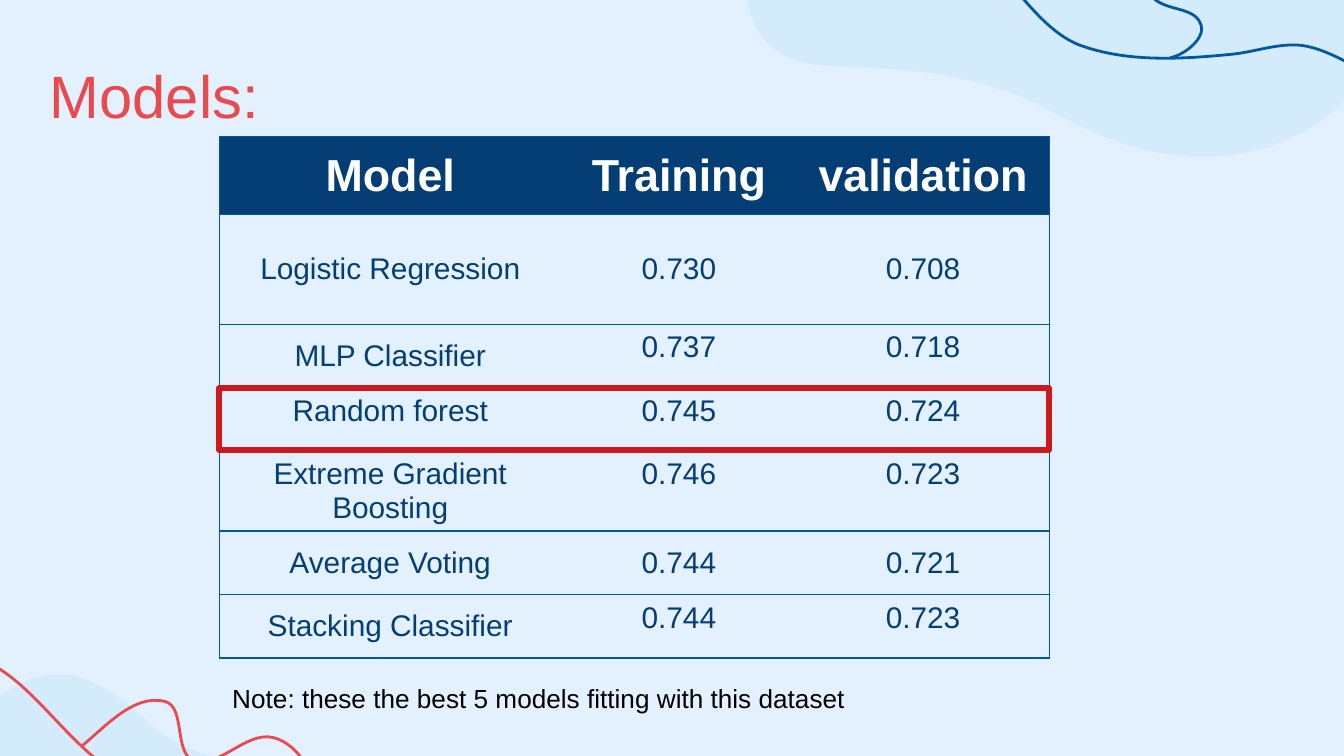
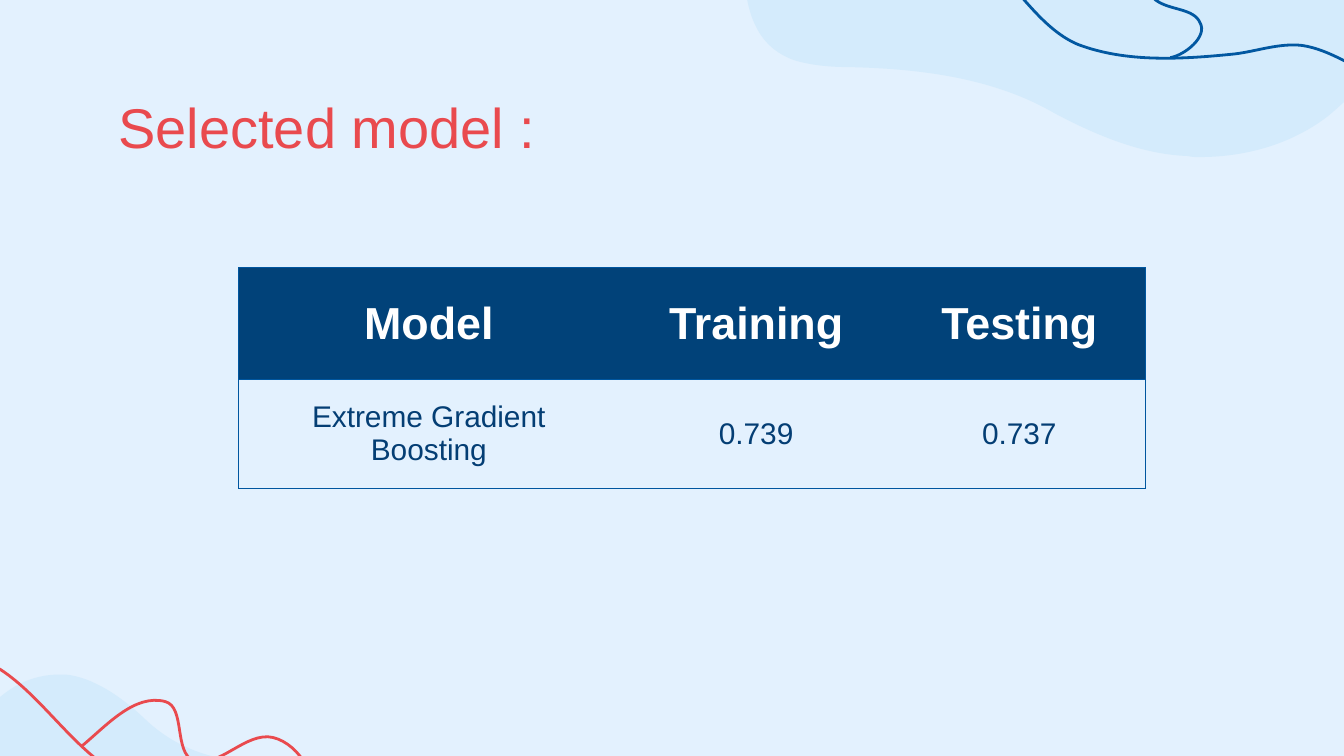
"""Build two slides that compare models and name the selected one."""
import math

from lxml import etree
from pptx import Presentation
from pptx import util as u
from pptx.dml.color import RGBColor
from pptx.enum import shapes, text
from pptx.oxml.ns import qn

FONT = "Arial"
SKY, MIST = "E3F1FE", "D4EBFC"
CORAL, BLUE, NAVY, DEEP = "E94A4E", "0258A1", "043E74", "014279"
EDGE, RED, WHITE, BLACK = "00569F", "CD191D", "FFFFFF", "000000"
PLAIN = "{2D5ABB26-0587-4C30-8999-92F81FD0307C}"
ANCHOR = {"m": text.MSO_ANCHOR.MIDDLE, "t": text.MSO_ANCHOR.TOP}

BLOBS = [
    (180, [
        [(6.2, 16.15)],
        [(6.07, 16.05), (5.92, 15.93), (5.84, 15.8)],
        [(-0.64, 15.8)], [(-0.64, 14.02)],
        [(-0.64, 14), (-0.64, 13.97), (-0.64, 13.94)],
        [(-0.53, 13.82), (-0.41, 13.61), (-0.3, 13.49)],
        [(0.1, 12.98), (0.61, 12.75), (1.12, 12.75)],
        [(1.14, 12.75), (1.19, 12.75), (1.24, 12.75)],
        [(1.75, 12.8), (2.29, 13.16), (2.74, 13.59)],
        [(3.43, 14.25), (4.24, 14.4), (5.03, 14.43)],
        [(5.23, 14.45), (5.44, 14.45), (5.64, 14.58)],
        [(6.07, 14.83), (6.15, 15.39), (6.22, 16.05)],
        [(6.2, 16.05), (6.17, 16.05), (6.15, 16.05)],
        [(6.12, 16.05), (6.1, 16.05), (6.1, 16.05)]]),
    (0, [
        [(14.1, -0.46)],
        [(14.3, -0.33), (14.53, -0.2), (14.68, -0.08)],
        [(25.6, -0.1)], [(25.6, 1.7)],
        [(25.6, 1.73), (25.6, 1.75), (25.6, 1.78)],
        [(25.43, 1.88), (25.22, 2.11), (25.04, 2.24)],
        [(24.36, 2.74), (23.52, 2.97), (22.66, 2.97)],
        [(22.58, 2.97), (22.53, 2.97), (22.45, 2.95)],
        [(21.56, 2.92), (20.68, 2.54), (19.91, 2.13)],
        [(18.77, 1.47), (17.37, 1.3), (16.08, 1.27)],
        [(15.72, 1.27), (15.34, 1.24), (15.01, 1.14)],
        [(14.33, 0.89), (14.15, 0.33), (14.07, -0.33)],
        [(14.1, -0.33), (14.12, -0.33), (14.15, -0.33)],
        [(14.17, -0.33), (14.22, -0.33), (14.27, -0.33)]]),
]
WAVES = [
    (CORAL, 327.7, [
        [(-2.95, 12.42)],
        [(-2.21, 11.96), (-1.07, 12.01), (-0.08, 12.6)],
        [(0.74, 13.08), (1.37, 14.15), (2.21, 14.61)],
        [(3.1, 15.11), (4.01, 15.24), (4.9, 15.32)]]),
    (CORAL, 342.2, [
        [(1.55, 14.1)],
        [(2.01, 13.72), (2.54, 13.11), (3.12, 13.26)],
        [(3.51, 13.36), (3.28, 14.22), (3.66, 14.38)],
        [(4.14, 14.53), (4.65, 13.82), (5.16, 13.94)],
        [(5.69, 14.07), (6.05, 14.78), (5.97, 15.32)]]),
    (BLUE, 0, [
        [(18.9, -0.51)],
        [(19.35, -0.05), (19.76, 0.58), (20.37, 0.84)],
        [(21.29, 1.19), (22.35, 1.12), (23.34, 1.02)],
        [(23.75, 0.97), (24.18, 0.81), (24.61, 0.86)],
        [(25.15, 0.94), (25.6, 1.3), (26.11, 1.47)]]),
    (BLUE, 0, [
        [(22.12, 1.09)],
        [(22.4, 1.04), (22.83, 0.69), (22.68, 0.43)],
        [(22.56, 0.15), (22.1, 0.2), (21.84, 0)],
        [(21.67, -0.13), (21.67, -0.41), (21.67, -0.64)]]),
]

SCORES = [
    ("mmm", "Model", "Training", "validation"),
    ("mmm", "Logistic Regression", "0.730", "0.708"),
    ("mtt", "MLP Classifier", "0.737", "0.718"),
    ("ttt", "Random forest", "0.745", "0.724"),
    ("ttt", "Extreme Gradient Boosting", "0.746", "0.723"),
    ("mmm", "Average Voting", "0.744", "0.721"),
    ("mtt", "Stacking Classifier", "0.744", "0.723"),
]
CHOICE = [
    ("mmm", "Model", "Training", "Testing"),
    ("mmm", "Extreme Gradient Boosting", "0.739", "0.737"),
]


def rgb(code):
    """Turn a hex string into a colour."""
    return RGBColor.from_string(code)


def add_run(para, words, size, color, bold=False):
    """Add one styled run to a paragraph."""
    run = para.add_run()
    run.text = words
    font = run.font
    font.name, font.size, font.bold = FONT, u.Pt(size), bold
    font.color.rgb = rgb(color)


def paint(shape, fill=None, line=None, width=1.5):
    """Set the fill and outline of a shape and drop its shadow."""
    shape.shadow.inherit = False
    if fill:
        shape.fill.solid()
        shape.fill.fore_color.rgb = rgb(fill)
    else:
        shape.fill.background()
    if line:
        shape.line.color.rgb = rgb(line)
        shape.line.width = u.Pt(width)
    else:
        shape.line.fill.background()


def turn(x, y, angle):
    """Turn a point clockwise about the slide corner."""
    a = math.radians(angle)
    return (x * math.cos(a) - y * math.sin(a),
            x * math.sin(a) + y * math.cos(a))


def bend(shape, steps):
    """Make a curve of each step that holds three points."""
    lines = list(shape._element.iter(qn("a:lnTo")))
    for step in steps:
        part, lines = lines[:len(step)], lines[len(step):]
        if len(step) == 3:
            curve = etree.Element(qn("a:cubicBezTo"))
            part[0].addprevious(curve)
            for line in part:
                curve.append(line[0])
                line.getparent().remove(line)


def add_path(slide, steps, angle, close=False):
    """Draw a curved outline in a frame turned by an angle."""
    spots = [turn(u.Cm(x), u.Cm(y), -angle) for step in steps for x, y in step]
    pen = slide.shapes.build_freeform(*spots[0])
    pen.add_line_segments(spots[1:], close=close)
    shape = pen.convert_to_shape()
    bend(shape, steps[1:])
    half, rise = shape.width / 2, shape.height / 2
    x, y = turn(shape.left + half, shape.top + rise, angle)
    shape.left, shape.top = round(x - half), round(y - rise)
    shape.rotation = angle
    return shape


def add_decor(slide):
    """Put the corner blobs and waves on the layout of a slide."""
    parts = []
    for angle, steps in BLOBS:
        parts.append(add_path(slide, steps, angle, True))
        paint(parts[-1], fill=MIST)
    for color, angle, steps in WAVES:
        parts.append(add_path(slide, steps, angle))
        paint(parts[-1], line=color)
    tree = slide.slide_layout.shapes._spTree
    for i, part in enumerate(parts):
        part._element.nvSpPr.cNvPr.set("id", str(20 + i))
        tree.append(part._element)


def set_title(slide, words, left, top, size):
    """Place and fill the title placeholder."""
    title = slide.shapes.title
    title.left, title.top = u.Cm(left), u.Cm(top)
    title.width, title.height = u.Cm(21.44), u.Cm(1.93)
    frame = title.text_frame
    frame.auto_size = text.MSO_AUTO_SIZE.NONE
    frame.vertical_anchor = ANCHOR["t"]
    frame.margin_left = frame.margin_right = u.Cm(0.25)
    frame.margin_top = frame.margin_bottom = u.Cm(0.25)
    para = frame.paragraphs[0]
    para.alignment = text.PP_ALIGN.LEFT
    add_run(para, words, size, CORAL)


def add_edges(cell, sides):
    """Draw thin borders on the given sides of a cell."""
    props = cell._tc.get_or_add_tcPr()
    for i, side in enumerate(sides):
        line = etree.Element(qn("a:ln" + side), w=str(u.Pt(0.75)))
        fill = etree.SubElement(line, qn("a:solidFill"))
        etree.SubElement(fill, qn("a:srgbClr"), val=EDGE)
        props.insert(i, line)


def add_grid(slide, rows, left, top, widths, heights, head):
    """Add a table with a dark header and thin row rules."""
    box = slide.shapes.add_table(
        len(rows), len(widths), u.Cm(left), u.Cm(top),
        u.Cm(sum(widths)), u.Cm(sum(heights)))
    grid = box.table
    grid.horz_banding = False
    box._element.find(".//" + qn("a:tableStyleId")).text = PLAIN
    for col, width in zip(grid.columns, widths):
        col.width = u.Cm(width)
    for y, (modes, *words) in enumerate(rows):
        grid.rows[y].height = u.Cm(heights[y])
        for x, word in enumerate(words):
            cell = grid.cell(y, x)
            cell.vertical_anchor = ANCHOR[modes[x]]
            para = cell.text_frame.paragraphs[0]
            para.alignment = text.PP_ALIGN.CENTER
            if y == 0:
                cell.fill.solid()
                cell.fill.fore_color.rgb = rgb(head)
                add_run(para, word, 24, WHITE, True)
            else:
                cell.fill.background()
                add_run(para, word, 16, NAVY)
            sides = "L" * (x == 0) + "R" * (x == len(words) - 1) + "TB"
            add_edges(cell, sides)


def add_frame(slide, left, top, width, height):
    """Outline the row to point out."""
    frame = slide.shapes.add_shape(
        shapes.MSO_SHAPE.RECTANGLE, u.Cm(left), u.Cm(top),
        u.Cm(width), u.Cm(height))
    paint(frame, line=RED, width=3)


def add_note(slide, words, left, top, width, height):
    """Add a line of plain text."""
    box = slide.shapes.add_textbox(
        u.Cm(left), u.Cm(top), u.Cm(width), u.Cm(height))
    box.text_frame.word_wrap = True
    add_run(box.text_frame.paragraphs[0], words, 14, BLACK)


def add_page(deck, words, left, top, size):
    """Add a slide with a title."""
    slide = deck.slides.add_slide(deck.slide_layouts[5])
    set_title(slide, words, left, top, size)
    return slide


def main():
    """Build and save the deck."""
    deck = Presentation()
    deck.slide_width, deck.slide_height = u.Cm(25.4), u.Cm(14.29)
    back = deck.slide_master.background.fill
    back.solid()
    back.fore_color.rgb = rgb(SKY)

    page = add_page(deck, "Models:", 0.69, 0.86, 32)
    add_decor(page)
    add_grid(page, SCORES, 4.15, 2.58, [6.45, 4.46, 4.77],
             [1.48, 2.07] + [1.2] * 5, NAVY)
    add_frame(page, 4.14, 7.34, 15.69, 1.17)
    add_note(page, "Note: these the best 5 models fitting with this dataset",
             4.14, 12.78, 12.73, 0.86)

    page = add_page(deck, "Selected model :", 1.99, 1.5, 30)
    add_grid(page, CHOICE, 4.51, 5.06, [7.19, 5.18, 4.77],
             [2.11, 2.06], DEEP)
    deck.save("out.pptx")


if __name__ == "__main__":
    main()
